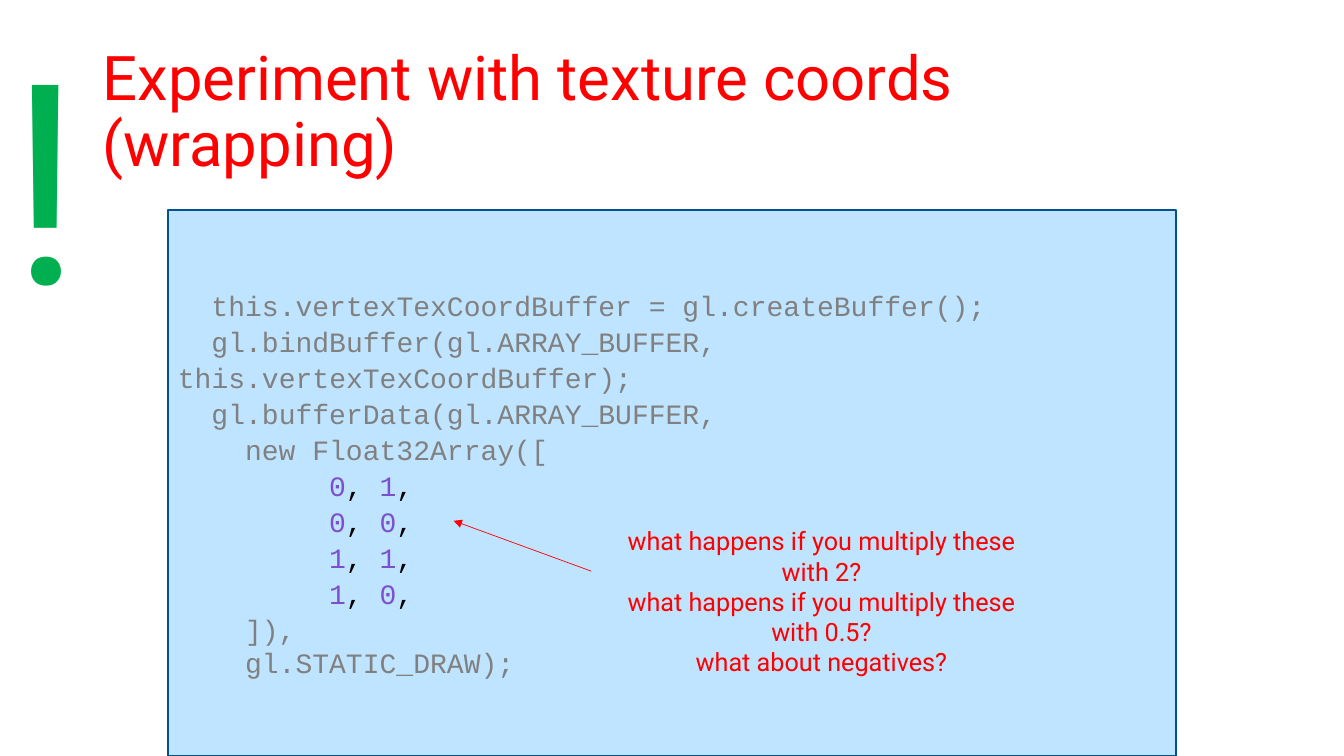
import pptx
import pptx.util
import pptx.dml.color
import pptx.enum.shapes
import pptx.enum.text
import pptx.oxml

RGB = pptx.dml.color.RGBColor
RED = RGB(0xFF, 0x00, 0x00)
GREEN = RGB(0x00, 0xB0, 0x50)
GREY = RGB(0x80, 0x80, 0x80)
BLACK = RGB(0x00, 0x00, 0x00)
PURPLE = RGB(0x7C, 0x4F, 0xCD)
PALE_BLUE = RGB(0xBF, 0xE4, 0xFF)
DARK_BLUE = RGB(0x00, 0x53, 0x8E)
Pt = pptx.util.Pt
ALIGN = pptx.enum.text.PP_ALIGN
ANCHOR = pptx.enum.text.MSO_ANCHOR
FIT = pptx.enum.text.MSO_AUTO_SIZE

prs = pptx.Presentation()
prs.slide_width = pptx.util.Inches(13.33)
prs.slide_height = pptx.util.Inches(7.5)
COL = prs.slide_width / 16
ROW = prs.slide_height / 9
s = prs.slides.add_slide(prs.slide_layouts[5])


def grid(left, top, width, height):
    return [round(n * unit) for n, unit in zip((left, top, width, height), (COL, ROW, COL, ROW))]


def write(p, text, color, size, name="Roboto"):
    r = p.add_run()
    r.text = text
    for key, value in {"size": Pt(size), "name": name}.items():
        setattr(r.font, key, value)
    r.font.color.rgb = color


title = s.shapes.title
for key, value in zip(("left", "top", "width", "height"), grid(1.1, 0.48, 13.8, 1.74)):
    setattr(title, key, value)
tf = title.text_frame
for key, value in {"vertical_anchor": ANCHOR.MIDDLE, "word_wrap": True, "auto_size": FIT.NONE}.items():
    setattr(tf, key, value)
p = tf.paragraphs[0]
for key, value in {"alignment": ALIGN.LEFT, "line_spacing": 0.9}.items():
    setattr(p, key, value)
write(p, "Experiment with texture coords (wrapping)", RED, 44)

code = s.shapes.add_shape(pptx.enum.shapes.MSO_SHAPE.RECTANGLE, *grid(2, 2.5, 12, 6.5))
code.shadow.inherit = False
code.fill.solid()
code.fill.fore_color.rgb = PALE_BLUE
code.line.color.rgb = DARK_BLUE
code.line.width = Pt(1)
tf = code.text_frame
tf.word_wrap = True
tf.vertical_anchor = ANCHOR.MIDDLE
CODE_SIZE = 20
CHAR = Pt(CODE_SIZE * 0.6)
lines = [
    (2, "this.vertexTexCoordBuffer = gl.createBuffer();"),
    (2, "gl.bindBuffer(gl.ARRAY_BUFFER, this.vertexTexCoordBuffer);"),
    (2, "gl.bufferData(gl.ARRAY_BUFFER,"),
    (4, "new Float32Array(["),
    (9, "01"),
    (9, "00"),
    (9, "11"),
    (9, "10"),
    (4, "]),"),
    (4, "gl.STATIC_DRAW);"),
]
for i, (indent, text) in enumerate(lines):
    p = tf.paragraphs[0] if i == 0 else tf.add_paragraph()
    p.alignment = ALIGN.LEFT
    p.line_spacing = 1.07 if i < len(lines) - 1 else 1.0
    p._p.get_or_add_pPr().set("indent", str(indent * CHAR))
    if text.isdigit():
        for digit, comma in zip(text, (", ", ",")):
            write(p, digit, PURPLE, CODE_SIZE, "Courier New")
            write(p, comma, BLACK, CODE_SIZE, "Courier New")
    else:
        write(p, text, GREY, CODE_SIZE, "Courier New")

questions = [
    "what happens if you multiply these with 2?",
    "what happens if you multiply these with 0.5?",
    "what about negatives?",
]
labels = [
    (grid(7.04, 6.2, 5.48, 1.21), questions, RED, 18, ALIGN.CENTER),
    (grid(0, 0, 0.68, 4.16), ["!"], GREEN, 200, ALIGN.LEFT),
]
for box, texts, color, size, alignment in labels:
    tf = s.shapes.add_textbox(*box).text_frame
    tf.word_wrap = True
    for i, text in enumerate(texts):
        p = tf.paragraphs[0] if i == 0 else tf.add_paragraph()
        p.alignment = alignment
        write(p, text, color, size)

arrow = s.shapes.add_connector(pptx.enum.shapes.MSO_CONNECTOR.STRAIGHT, *grid(7.04, 6.8, 5.4, 6.2))
arrow.line.color.rgb = RED
arrow.line.width = Pt(0.5)
NS = 'xmlns:a="http://schemas.openxmlformats.org/drawingml/2006/main"'
arrow.line._get_or_add_ln().append(pptx.oxml.parse_xml(f'<a:tailEnd {NS} type="triangle"/>'))
arrow._element.spPr.append(pptx.oxml.parse_xml(f"<a:effectLst {NS}/>"))

prs.save("out.pptx")
